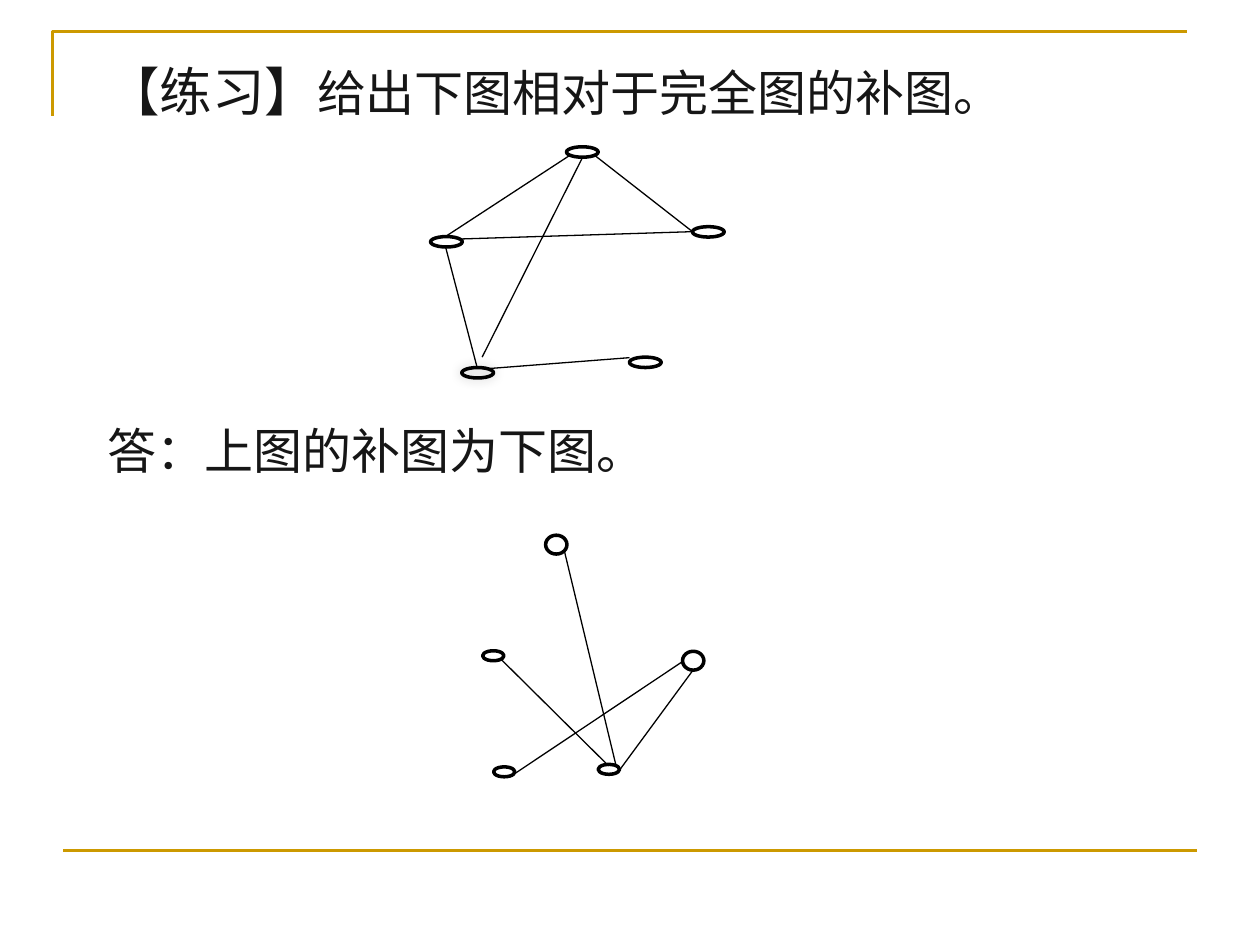
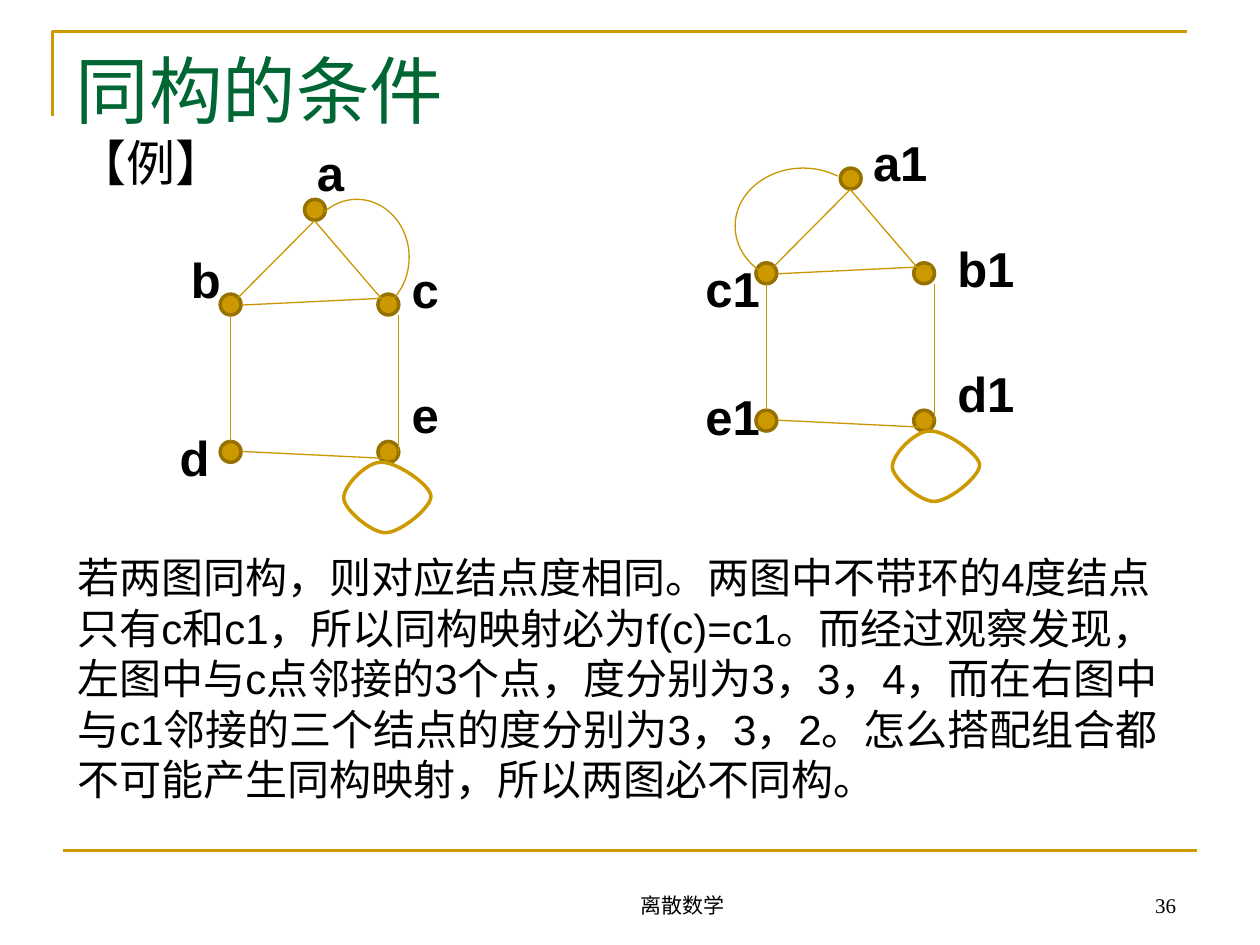
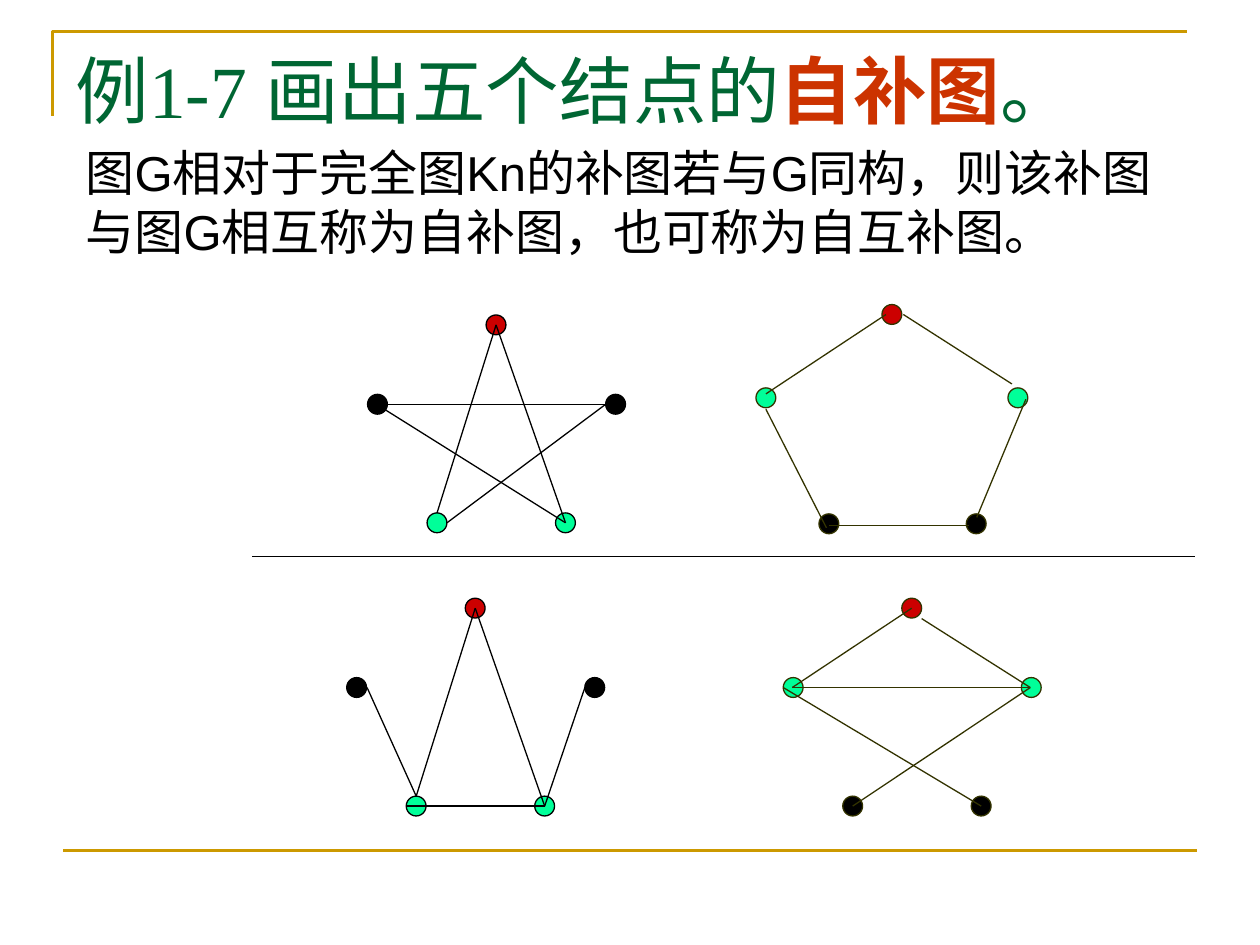
from lxml import etree
from pptx import Presentation
from pptx.dml.color import RGBColor
from pptx.enum import shapes, text
from pptx.oxml import ns
from pptx.util import Cm, Pt

COLOURS = {
    "gold": "CC9900", "edge": "C89600", "rim": "977100", "green": "006633",
    "orange": "CC3300", "ink": "161616", "black": "000000", "white": "FFFFFF",
    "red": "CC0000", "mint": "00FF99", "olive": "333300",
}
SERIF = {"name": "Times New Roman"}
SANS = {"name": "Arial", "colour": "black"}
TITLE = {**SERIF, "size": Pt(42), "bold": False, "colour": "green"}
EXERCISE = {**SERIF, "size": Pt(28), "colour": "ink"}
BODY = {**SANS, "size": Pt(28)}
LABEL = {**BODY, "bold": True}
FOOTER = {**SERIF, "size": Pt(12), "colour": "black"}

FLAT_NODE, TALL_NODE, WIDE_NODE = (0.43, 0.2), (0.43, 0.38), (0.64, 0.21)
HOUSE_NODE, DOT = (0.42, 0.42), (0.4, 0.4)

QUESTION_NODES = [(0, 1.81), (5.28, 1.61), (2.74, 0), (4.01, 4.24), (0.63, 4.45)]
QUESTION_EDGES = [
    (0.3, 1.81, 2.84, 0.15), (1.17, 4.47, 4.01, 4.25), (0.3, 2.01, 0.94, 4.45),
    (3.07, 0.2, 1.04, 4.24), (3.28, 0.15, 5.28, 1.71), (0.53, 1.86, 5.28, 1.71),
]
ANSWER_FLAT_NODES = [(2.33, 4.62), (0.22, 4.67), (0, 2.33)]
ANSWER_TALL_NODES = [(1.27, 0), (4.03, 2.34)]
ANSWER_EDGES = [
    (4.04, 2.54, 0.58, 4.85), (4.24, 2.72, 2.77, 4.72),
    (1.65, 0.33, 2.69, 4.65), (0.38, 2.51, 2.54, 4.65),
]

HOUSE_NODES = [(1.7, 0), (0, 1.91), (3.18, 1.91), (0, 4.88), (3.18, 4.88)]
HOUSE_EDGES = [
    (1.9, 0.43, 0.36, 1.98), (1.9, 0.43, 3.23, 1.98), (0.43, 2.13, 3.53, 1.98),
    (0.21, 2.34, 0.21, 4.88), (0.43, 5.08, 3.53, 5.23), (3.6, 2.34, 3.6, 5.08),
]
LOOP_CURVES = [
    [(0, 0), (-0.28, 0), (-0.76, 0.48), (-0.74, 0.74)],
    [(-0.74, 0.74), (-0.71, 0.97), (-0.18, 1.42), (0.1, 1.42)],
    [(0.1, 1.42), (0.41, 1.42), (1.02, 0.91), (1.02, 0.69)],
    [(1.02, 0.69), (1.02, 0.46), (0.3, -0.03), (0, 0)],
]
LEFT_LABELS = {"a": (1.7, -1.27), "b": (-0.84, 0.89), "c": (3.61, 1.09),
               "e": (3.61, 3.61), "d": (-1.07, 4.48)}
RIGHT_LABELS = {"a1": (2.11, -0.84), "c1": (-1.27, 1.7), "b1": (3.81, 1.3),
                "e1": (-1.27, 4.27), "d1": (3.81, 3.82)}

STAR_NODES = [(2.39, 0), (0, 1.6), (4.8, 1.6), (1.2, 3.99), (3.79, 3.99)]
PENTAGON_NODES = [(2.54, 0), (0, 1.68), (5.08, 1.68), (1.27, 4.22), (4.24, 4.22)]
PEAK_EDGES = [(2.59, 0.2, 1.4, 3.99), (2.59, 0.2, 3.99, 4.19)]
STAR_EDGES = PEAK_EDGES + [
    (0.38, 1.8, 5, 1.8), (4.8, 1.8, 1.6, 4.19), (0.18, 1.8, 3.99, 4.19),
]
CROWN_EDGES = PEAK_EDGES + [
    (0.41, 1.8, 1.4, 3.99), (4.8, 1.8, 3.99, 4.19), (1.2, 4.19, 3.99, 4.19),
]
PENTAGON_EDGES = [
    (2.62, 0.2, 0.2, 1.8), (2.97, 0.2, 5.16, 1.6), (0.2, 2.11, 1.42, 4.5),
    (1.47, 4.45, 4.29, 4.45), (5.44, 1.91, 4.45, 4.29),
]
KITE_EDGES = [
    (2.59, 0.2, 0.18, 1.8), (2.79, 0.41, 4.98, 1.8), (0.18, 1.8, 4.98, 1.8),
    (0, 1.8, 3.99, 4.19), (4.98, 1.8, 1.4, 4.19),
]


def rgb(name):
    return RGBColor.from_string(COLOURS[name])


def set_attributes(target, values):
    for name, value in values.items():
        if name == "colour":
            target.color.rgb = rgb(value)
        else:
            setattr(target, name, value)


def style_shape(shape, line, width, fill=None):
    shape.shadow.inherit = False
    set_attributes(shape.line, {"colour": line, "width": Pt(width)})
    if fill:
        shape.fill.solid()
        shape.fill.fore_color.rgb = rgb(fill)
    else:
        shape.fill.background()


def add_glow_shadow(shape):
    effects = shape._element.spPr.find(ns.qn("a:effectLst"))
    shadow = etree.SubElement(effects, ns.qn("a:outerShdw"), blurRad=str(Pt(6)))
    colour = etree.SubElement(shadow, ns.qn("a:srgbClr"), val=COLOURS["black"])
    etree.SubElement(colour, ns.qn("a:alpha"), val="20000")


def write(shape, runs, alignment=text.PP_ALIGN.LEFT, anchor=text.MSO_ANCHOR.TOP,
          hanging=True):
    set_attributes(shape.text_frame, {
        "word_wrap": True, "auto_size": text.MSO_AUTO_SIZE.NONE,
        "vertical_anchor": anchor})
    paragraph = shape.text_frame.paragraphs[0]
    paragraph.alignment = alignment
    if not hanging:
        paragraph._p.get_or_add_pPr().set("hangingPunct", "0")
    for words, values in runs:
        run = paragraph.add_run()
        run.text = words
        set_attributes(run.font, values)


def add_text(slide, box, runs, **layout):
    write(slide.shapes.add_textbox(*map(Cm, box)), runs, **layout)


def add_line(slide, ends, colour, width=0.75):
    connector = slide.shapes.add_connector(
        shapes.MSO_CONNECTOR.STRAIGHT, *map(Cm, ends))
    set_attributes(connector.line, {"colour": colour, "width": Pt(width)})
    etree.SubElement(connector._element.spPr, ns.qn("a:effectLst"))


def add_outline(slide, points, closed, line, width, fill=None):
    points = [(Cm(x), Cm(y)) for x, y in points]
    builder = slide.shapes.build_freeform(*points[0])
    builder.add_line_segments(points[1:], close=closed)
    style_shape(builder.convert_to_shape(), line, width, fill)


def add_nodes(slide, box, nodes, size, line, width, fills):
    left, top = box
    drawn = []
    for (x, y), fill in zip(nodes, fills):
        node = slide.shapes.add_shape(
            shapes.MSO_SHAPE.OVAL, *map(Cm, (left + x, top + y, *size)))
        style_shape(node, line, width, fill)
        drawn.append(node)
    return drawn


def add_edges(slide, box, edges, colour):
    left, top = box
    for x1, y1, x2, y2 in edges:
        add_line(slide, (left + x1, top + y1, left + x2, top + y2), colour)


def add_slide(presentation, title_runs=None):
    slide = presentation.slides.add_slide(
        presentation.slide_layouts[5 if title_runs else 6])
    add_outline(slide, [(1.06, 2.33), (1.06, 0.64), (23.92, 0.64)], False, "gold", 1.5)
    add_line(slide, (1.27, 17.15, 24.13, 17.15), "gold", 1.5)
    if title_runs:
        title = slide.shapes.title
        set_attributes(title, {"left": Cm(1.27), "top": Cm(0.77),
                               "width": Cm(22.86), "height": Cm(3.18)})
        write(title, title_runs)
    return slide


def add_footer(slide, name, number):
    bottom = text.MSO_ANCHOR.BOTTOM
    add_text(slide, (9.73, 17.35, 8.05, 1.27), [(name, FOOTER)],
             alignment=text.PP_ALIGN.CENTER, anchor=bottom)
    add_text(slide, (21.17, 17.35, 2.79, 1.27), [(number, FOOTER)],
             alignment=text.PP_ALIGN.RIGHT, anchor=bottom)


def add_loop(slide, left, top):
    steps = 12
    points = [(left, top)]
    for curve in LOOP_CURVES:
        for step in range(1, steps + 1):
            t = step / steps
            weights = ((1 - t) ** 3, 3 * t * (1 - t) ** 2, 3 * t * t * (1 - t), t ** 3)
            x, y = (sum(w * value for w, value in zip(weights, axis))
                    for axis in zip(*curve))
            points.append((left + x, top + y))
    add_outline(slide, points[:-1], True, "gold", 2, "white")


def add_house(slide, box, labels, arc_left, arc_width, loop_left, flipped):
    left, top = box
    add_nodes(slide, box, HOUSE_NODES, HOUSE_NODE, "rim", 2, ["gold"] * 5)
    add_edges(slide, box, HOUSE_EDGES, "edge")
    arc = slide.shapes.add_shape(
        shapes.MSO_SHAPE.ARC, *map(Cm, (left + arc_left, top, arc_width, 2.34)))
    arc.adjustments[0], arc.adjustments[1] = 141.24, 27.25
    style_shape(arc, "edge", 0.75)
    if flipped:
        arc._element.spPr.find(ns.qn("a:xfrm")).set("flipH", "1")
    for label, (x, y) in labels.items():
        add_text(slide, (left + x, top + y, 1.8, 1.45), [(label, LABEL)])
    add_loop(slide, left + loop_left, top + 5.3)


def add_five_node_graph(slide, box, nodes, edges, line, sides, feet):
    add_nodes(slide, box, nodes, DOT, line, 0.75, ["red", sides, sides, feet, feet])
    add_edges(slide, box, edges, line)


def build_exercise(presentation):
    slide = add_slide(presentation)
    add_text(slide, (1.91, 1.07, 22.23, 1.6), [
        ("【练习】", {**EXERCISE, "size": Pt(30)}),
        ("给出下图相对于完全图的补图。", EXERCISE)])
    add_text(slide, (1.91, 8.36, 22.23, 1.5), [("答：上图的补图为下图。", EXERCISE)])
    question, answer = (8.68, 2.96), (9.73, 10.79)
    for box, nodes, size in [(answer, ANSWER_FLAT_NODES, FLAT_NODE),
                             (answer, ANSWER_TALL_NODES, TALL_NODE)]:
        add_nodes(slide, box, nodes, size, "black", 2, [None] * len(nodes))
    add_edges(slide, answer, ANSWER_EDGES, "black")
    corners = add_nodes(slide, question, QUESTION_NODES, WIDE_NODE, "black", 2,
                        [None] * len(QUESTION_NODES))
    add_glow_shadow(corners[-1])
    add_edges(slide, question, QUESTION_EDGES, "black")


def build_isomorphism(presentation):
    slide = add_slide(presentation, [("同构的条件", TITLE)])
    add_footer(slide, "离散数学", "36")
    add_text(slide, (1.31, 2.54, 4, 1.5), [("【例】", BODY)])
    add_text(slide, (1.31, 11, 22.86, 5.6), [(
        "若两图同构，则对应结点度相同。两图中不带环的4度结点只有c和c1，"
        "所以同构映射必为f(c)=c1。而经过观察发现，左图中与c点邻接的3个点，"
        "度分别为3，3，4，而在右图中与c1邻接的三个结点的度分别为3，3，2。"
        "怎么搭配组合都不可能产生同构映射，所以两图必不同构。",
        {**BODY, "size": Pt(24)})], hanging=False)
    add_house(slide, (4.44, 4.02), LEFT_LABELS, 1.7, 2.11, 3.23, False)
    add_house(slide, (15.24, 3.39), RIGHT_LABELS, -0.42, 2.74, 3.49, True)


def build_self_complement(presentation):
    slide = add_slide(presentation, [
        ("例1-7 画出五个结点的", TITLE),
        ("自补图", {**TITLE, "bold": True, "colour": "orange"}),
        ("。", TITLE)])
    add_text(slide, (1.48, 2.75, 22.02, 2.62), [(
        "图G相对于完全图Kn的补图若与G同构，则该补图与图G相互称为自补图，"
        "也可称为自互补图。", BODY)])
    add_line(slide, (5.08, 11.22, 24.08, 11.22), "black")
    dark_sides, mint_sides = ("black", "black", "mint"), ("olive", "mint", "black")
    for box, nodes, edges, palette in [
            ((7.41, 6.35), STAR_NODES, STAR_EDGES, dark_sides),
            ((15.24, 6.14), PENTAGON_NODES, PENTAGON_EDGES, mint_sides),
            ((6.99, 12.06), STAR_NODES, CROWN_EDGES, dark_sides),
            ((15.79, 12.06), STAR_NODES, KITE_EDGES, mint_sides)]:
        add_five_node_graph(slide, box, nodes, edges, *palette)


def main():
    presentation = Presentation()
    set_attributes(presentation, {"slide_width": Cm(25.4), "slide_height": Cm(19.05)})
    build_exercise(presentation)
    build_isomorphism(presentation)
    build_self_complement(presentation)
    presentation.save("out.pptx")


if __name__ == "__main__":
    main()
